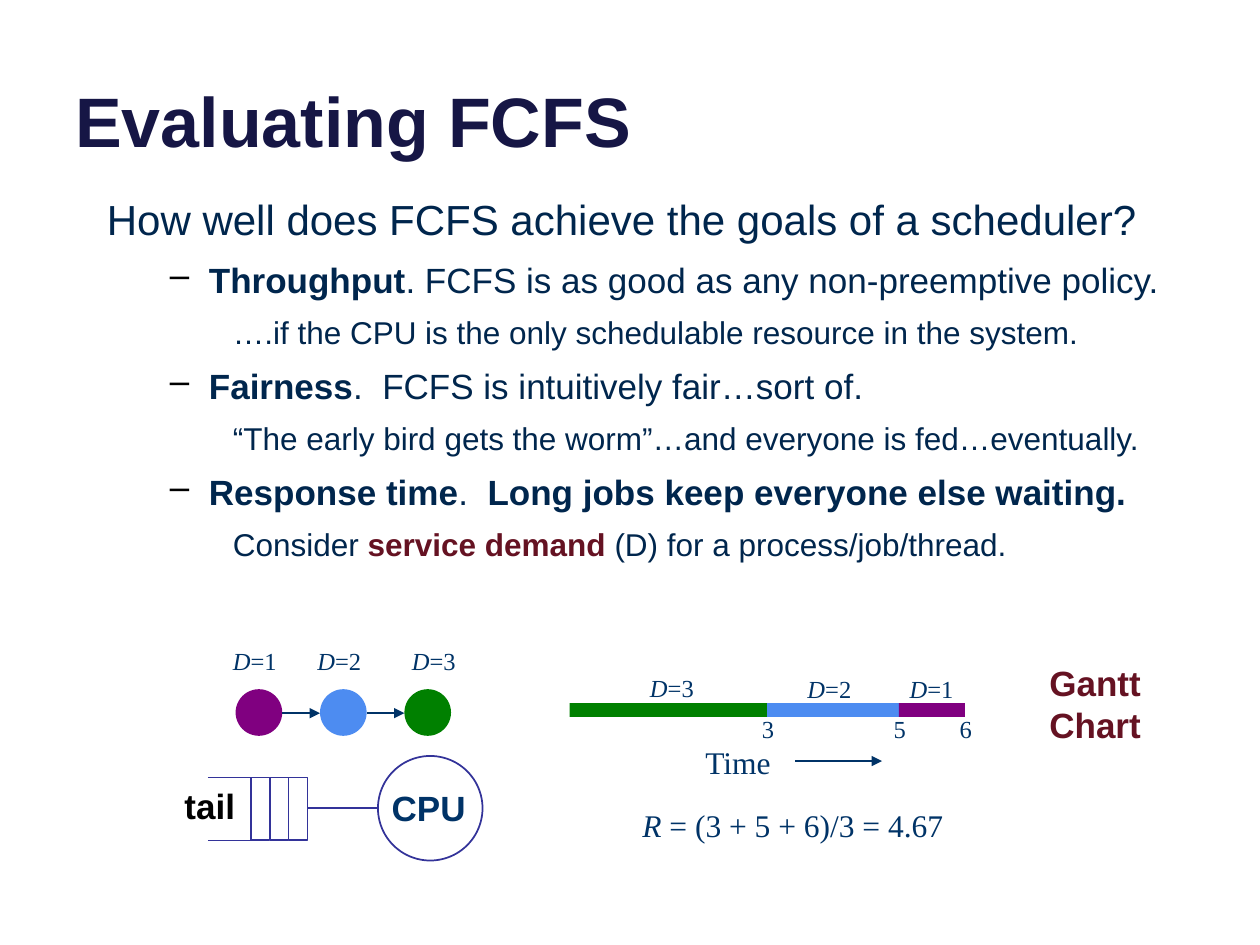
from dataclasses import dataclass

from lxml.etree import SubElement
from pptx import Presentation
from pptx.dml.color import RGBColor
from pptx.enum.shapes import MSO_CONNECTOR as Connector, MSO_SHAPE as Shape
from pptx.enum.text import MSO_ANCHOR as Anchor, PP_ALIGN as Align
from pptx.oxml.ns import qn
from pptx.util import Inches, Pt


@dataclass(frozen=True)
class Theme:
    sans: str = "Arial"
    serif: str = "Times New Roman"
    title: str = "161645"
    body: str = "00264D"
    accent: str = "651222"
    label: str = "003367"
    outline: str = "333399"
    white: str = "FFFFFF"
    black: str = "000000"
    title_size: int = 40
    level_sizes: tuple = (24, 20, 18)
    heading_size: int = 20
    formula_size: int = 18
    label_size: int = 14
    line_width: int = 1


THEME = Theme()


@dataclass(frozen=True)
class Run:
    text: str
    bold: bool = False
    italic: bool = False
    color: str = ""


@dataclass(frozen=True)
class Style:
    font: str
    size: int
    color: str


@dataclass(frozen=True)
class Point:
    level: int
    runs: tuple
    margin: float = 0
    indent: float = 0


@dataclass(frozen=True)
class Job:
    demand: int
    color: str
    queue_label: float
    gantt_label: float
    gantt_label_top: float


TITLE = Style(THEME.sans, THEME.title_size, THEME.title)
HEADING = Style(THEME.sans, THEME.heading_size, THEME.accent)
FORMULA = Style(THEME.serif, THEME.formula_size, THEME.label)
LABEL = Style(THEME.serif, THEME.label_size, THEME.label)

POINTS = (
    Point(0, (Run("How well does FCFS achieve the goals of a scheduler?"),), 0.38, -0.38),
    Point(1, (Run("Throughput", bold=True),
              Run(". FCFS is as good as any non-preemptive policy.")), 0.81, -0.31),
    Point(2, (Run("….if the CPU is the only schedulable resource in the system."),), 1.25, -0.25),
    Point(1, (Run("Fairness", bold=True),
              Run(".  FCFS is intuitively fair…sort of.")), 0.81, -0.31),
    Point(2, (Run("“The early bird gets the worm”…and everyone is fed…eventually."),), 1.25, -0.25),
    Point(1, (Run("Response time", bold=True), Run(".  "),
              Run("Long jobs keep everyone else waiting.", bold=True)), 0.81, -0.31),
    Point(2, (Run("Consider "), Run("service demand", bold=True, color=THEME.accent),
              Run(" (D) for a process/job/thread.")), 1),
)

JOBS = (
    Job(3, "008000", 3.17, 5.06, 5.29),
    Job(2, "4D8CF1", 2.42, 6.31, 5.3),
    Job(1, "800080", 1.75, 7.12, 5.3),
)


def add_runs(paragraph, runs: tuple, style: Style) -> None:
    """Append styled runs to a paragraph."""
    for item in runs:
        run = paragraph.add_run()
        run.text = item.text
        run.font.name = style.font
        run.font.size = Pt(style.size)
        run.font.bold = item.bold
        run.font.italic = item.italic
        run.font.color.rgb = RGBColor.from_string(item.color or style.color)


def add_text(slide, box: tuple, lines: tuple, style: Style, wrap: bool = False,
             anchor=Anchor.TOP, align=Align.LEFT) -> None:
    """Draw a text box with one paragraph for each line of runs."""
    frame = slide.shapes.add_textbox(*map(Inches, box)).text_frame
    frame.word_wrap = wrap
    frame.vertical_anchor = anchor
    for index, runs in enumerate(lines):
        paragraph = frame.add_paragraph() if index else frame.paragraphs[0]
        paragraph.alignment = align
        add_runs(paragraph, runs, style)


def add_body(slide) -> None:
    """Draw the indented list of scheduler goals."""
    frame = slide.shapes.add_textbox(*map(Inches, (0.75, 1.49, 8.67, 3.33))).text_frame
    frame.word_wrap = True
    for index, point in enumerate(POINTS):
        paragraph = frame.add_paragraph() if index else frame.paragraphs[0]
        paragraph.level = point.level
        paragraph.space_before = Pt(9 - point.level)
        properties = paragraph._p.get_or_add_pPr()
        properties.set("marL", str(Inches(point.margin)))
        properties.set("indent", str(Inches(point.indent)))
        if point.level == 1:
            color = SubElement(properties, qn("a:buClr"))
            SubElement(color, qn("a:srgbClr"), val=THEME.black)
            SubElement(properties, qn("a:buChar"), char="–")
        else:
            SubElement(properties, qn("a:buNone"))
        style = Style(THEME.sans, THEME.level_sizes[point.level], THEME.body)
        add_runs(paragraph, point.runs, style)


def add_shape(slide, kind, box: tuple, fill: str, outline: str = "") -> None:
    """Draw a filled preset shape with an optional outline."""
    shape = slide.shapes.add_shape(kind, *map(Inches, box))
    shape.shadow.inherit = False
    shape.fill.solid()
    shape.fill.fore_color.rgb = RGBColor.from_string(fill)
    if outline:
        shape.line.color.rgb = RGBColor.from_string(outline)
        shape.line.width = Pt(THEME.line_width)
    else:
        shape.line.fill.background()


def add_line(slide, left: float, right: float, top: float, color: str, arrow: bool = False) -> None:
    """Draw a horizontal line, with an arrowhead on the right if asked."""
    line = slide.shapes.add_connector(
        Connector.STRAIGHT, *map(Inches, (left, top, right, top)))
    line.line.color.rgb = RGBColor.from_string(color)
    line.line.width = Pt(THEME.line_width)
    if arrow:
        SubElement(line.line._get_or_add_ln(), qn("a:tailEnd"), type="triangle")
    SubElement(line._element.spPr, qn("a:effectLst"))


def add_demand(slide, left: float, top: float, demand: int) -> None:
    """Draw the service demand label of a job."""
    runs = (Run("D", italic=True), Run(f"={demand}"))
    add_text(slide, (left, top, 0.55, 0.33), (runs,), LABEL)


def add_gantt(slide) -> None:
    """Draw the Gantt bar with its finish times and the mean response time."""
    start, unit, finish = 4.52, 0.523, 0
    for job in JOBS:
        add_shape(slide, Shape.RECTANGLE,
                  (start + finish * unit, 5.58, job.demand * unit, 0.11), job.color)
        finish += job.demand
        add_text(slide, (start + finish * unit - 0.14, 5.62, 0.3, 0.33),
                 ((Run(str(finish)),),), LABEL)
        add_demand(slide, job.gantt_label, job.gantt_label_top, job.demand)
    add_text(slide, (5.5, 5.85, 0.73, 0.4), ((Run("Time"),),), FORMULA)
    add_line(slide, 6.31, 7, 6.04, THEME.label, arrow=True)
    add_text(slide, (8.23, 5.2, 0.93, 0.77),
             ((Run("Gantt", bold=True),), (Run("Chart", bold=True),)), HEADING)
    add_text(slide, (5, 6.35, 2.64, 0.4),
             ((Run("R", italic=True), Run(" = (3 + 5 + 6)/3 = 4.67")),), FORMULA)


def add_queue(slide) -> None:
    """Draw the waiting jobs, the ready queue and the CPU."""
    first, pitch, size = 1.87, 0.67, 0.37
    for index, job in enumerate(reversed(JOBS)):
        left = first + index * pitch
        add_shape(slide, Shape.OVAL, (left, 5.47, size, size), job.color)
        add_demand(slide, job.queue_label, 5.08, job.demand)
        if index:
            add_line(slide, left - pitch + size, left, 5.66, THEME.label, arrow=True)
    for index in range(3):
        add_shape(slide, Shape.RECTANGLE, (1.99 + index * 0.15, 6.17, 0.15, 0.5),
                  THEME.white, THEME.outline)
    for top in (6.17, 6.67):
        add_line(slide, 1.65, 1.99, top, THEME.outline)
    add_shape(slide, Shape.OVAL, (3, 6, 0.83, 0.83), THEME.white, THEME.outline)
    add_line(slide, 2.44, 3, 6.41, THEME.outline)
    add_text(slide, (3.01, 6.19, 0.8, 0.44), ((Run("CPU", bold=True, color=THEME.label),),), HEADING)
    add_text(slide, (1.08, 6.17, 1.17, 0.44), ((Run("tail", bold=True, color=THEME.black),),),
             HEADING, wrap=True, anchor=Anchor.MIDDLE, align=Align.CENTER)


def main() -> None:
    """Build the slide and save it."""
    presentation = Presentation()
    presentation.slide_width, presentation.slide_height = Inches(10), Inches(7.5)
    slide = presentation.slides.add_slide(presentation.slide_layouts[6])
    add_text(slide, (0.5, -0.37, 9, 1.7), ((Run("Evaluating FCFS", bold=True),),), TITLE,
             wrap=True, anchor=Anchor.BOTTOM)
    add_body(slide)
    add_gantt(slide)
    add_queue(slide)
    presentation.save("out.pptx")


if __name__ == "__main__":
    main()
